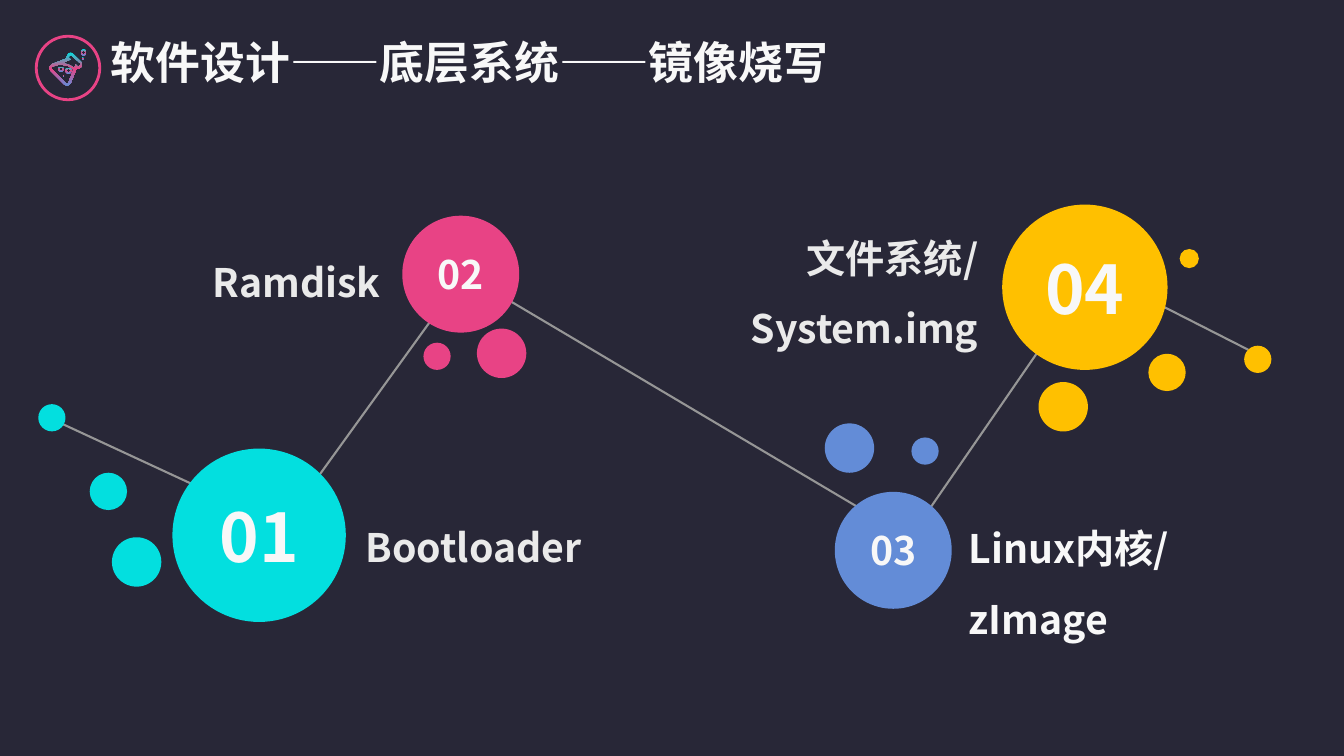
from copy import deepcopy

from lxml import etree
from pptx import Presentation
from pptx.dml.color import RGBColor
from pptx.enum import shapes, text
from pptx.oxml import ns
from pptx.util import Inches, Pt

FONT = "Noto Sans CJK SC"
COLORS = {
    "night": "282737", "white": "F8F8F8", "mist": "EAEAEA", "gray": "969696",
    "cyan": "03DFDF", "pink": "E84385", "blue": "638CD7", "amber": "FFC000",
}
COLORS = {name: RGBColor.from_string(value) for name, value in COLORS.items()}
KIND = shapes.MSO_SHAPE


def add_round(kind, left, top, size, color=None):
    disc = page.shapes.add_shape(kind, Inches(left), Inches(top), Inches(size), Inches(size))
    disc.shadow.inherit = False
    disc.line.fill.background()
    if color:
        disc.fill.solid()
        disc.fill.fore_color.rgb = COLORS[color]
    return disc


def write(frame, content, size, color, align, spacing):
    frame.text = content
    frame.word_wrap = True
    for para in frame.paragraphs:
        para.alignment = align
        para.line_spacing = spacing
        for span in para.runs:
            span.font.name = FONT
            span.font.size = Pt(size)
            span.font.bold = True
            span.font.color.rgb = COLORS[color]
            east = etree.SubElement(span.font._element, ns.qn("a:ea"))
            east.set("typeface", FONT)


deck = Presentation()
deck.slide_width, deck.slide_height = Inches(13.33), Inches(7.5)
page = deck.slides.add_slide(deck.slide_layouts[5])
page.background.fill.solid()
page.background.fill.fore_color.rgb = COLORS["night"]

title = page.shapes.title
title.left, title.top, title.width, title.height = map(Inches, (1, 0.35, 7.67, 1.18))
write(title.text_frame, "软件设计——底层系统——镜像烧写", 32, "white", text.PP_ALIGN.LEFT, 0.9)
title.text_frame.vertical_anchor = text.MSO_ANCHOR.TOP
title.text_frame.auto_size = text.MSO_AUTO_SIZE.NONE

badge = add_round(KIND.OVAL, 0.36, 0.36, 0.63)
badge.fill.background()
badge.line.color.rgb = COLORS["pink"]
badge.line.width = Pt(2)

flask_outline = [(72, 53), (70, 52), (68, 53), (67, 55), (66, 57), (66, 58), (51, 64), (49, 67),
                 (50, 70), (64, 84), (67, 85), (70, 83), (76, 68), (78, 68), (80, 67), (81, 66),
                 (82, 64), (81, 62)]
flask_air = [(80, 64), (78, 66), (77, 66), (75, 64), (74, 68), (70, 65), (64, 63), (61, 63),
             (70, 59), (68, 57), (68, 56), (70, 55), (71, 55), (80, 63)]
flask_liquid = [(68, 82), (67, 83), (66, 83), (51, 68), (51, 67), (52, 66), (59, 64), (67, 65),
                (73, 69)]
builder = page.shapes.build_freeform(*flask_outline[0], scale=Inches(0.01))
builder.add_line_segments(flask_outline[1:])
for contour in (flask_air, flask_liquid):
    builder.move_to(*contour[0])
    builder.add_line_segments(contour[1:])
flask = builder.convert_to_shape()
flask.shadow.inherit = False
flask.line.fill.background()

icon_parts = [flask]
for left, top, size in [(0.65, 0.67, 0.06), (0.8, 0.49, 0.06), (0.58, 0.66, 0.05)]:
    ring = add_round(KIND.DONUT, left, top, size)
    ring.adjustments[0] = 0.2
    icon_parts.append(ring)
for left, top in [(0.62, 0.74), (0.81, 0.57)]:
    icon_parts.append(add_round(KIND.OVAL, left, top, 0.02))
for part in icon_parts:
    part.fill.gradient()
    part.fill.gradient_angle = 270
    last_stop = part._element.spPr.findall(".//" + ns.qn("a:gs"))[-1]
    last_stop.addprevious(deepcopy(last_stop))
    for stop, position, name in zip(part.fill.gradient_stops, (0, 0.49, 1), ("cyan", "pink", "blue")):
        stop.position = position
        stop.color.rgb = COLORS[name]

links = [
    (0.52, 4.16, 2.72, 5.18), (2.83, 5.18, 4.57, 2.77), (4.88, 2.88, 8.76, 5.18),
    (9.04, 5.31, 10.79, 2.77), (11.22, 2.88, 12.38, 3.47),
]
for ends in links:
    link = page.shapes.add_connector(shapes.MSO_CONNECTOR.STRAIGHT, *map(Inches, ends))
    link.line.color.rgb = COLORS["gray"]
    link.line.width = Pt(1.5)
    etree.SubElement(link._element.spPr, ns.qn("a:effectLst"))

bubbles = {
    "cyan": [(0.38, 4.01, 0.27), (0.89, 4.69, 0.37), (1.11, 5.33, 0.49)],
    "pink": [(4.2, 3.4, 0.27), (4.73, 3.26, 0.49)],
    "blue": [(9.04, 4.34, 0.27), (8.18, 4.2, 0.49)],
    "amber": [(11.7, 2.47, 0.19), (12.34, 3.43, 0.27), (11.39, 3.51, 0.37), (10.3, 3.79, 0.49)],
}
for color, places in bubbles.items():
    for left, top, size in places:
        add_round(KIND.OVAL, left, top, size, color)

LEFT, RIGHT = text.PP_ALIGN.LEFT, text.PP_ALIGN.RIGHT
steps = [
    ("cyan", (1.71, 4.45, 1.72), 48, "Bootloader", (3.53, 4.91, 2.9, 0.72), "mist", LEFT),
    ("pink", (3.99, 2.14, 1.16), 28, "Ramdisk", (0.52, 2.28, 3.35, 0.72), "mist", RIGHT),
    ("blue", (8.28, 4.88, 1.16), 28, "Linux内核/zImage", (9.51, 4.92, 3.24, 1.51), "white", LEFT),
    ("amber", (9.94, 2.03, 1.64), 48, "文件系统/\nSystem.img", (6.87, 2.04, 2.93, 1.51), "mist", RIGHT),
]
for number, (color, place, size, label, area, ink, align) in enumerate(steps, 1):
    circle = add_round(KIND.OVAL, *place, color)
    write(circle.text_frame, f"{number:02}", size, "white", text.PP_ALIGN.CENTER, 1.0)
    circle.text_frame.vertical_anchor = text.MSO_ANCHOR.MIDDLE
    box = page.shapes.add_textbox(*map(Inches, area))
    write(box.text_frame, label, 28, ink, align, 1.5)

deck.save("out.pptx")
